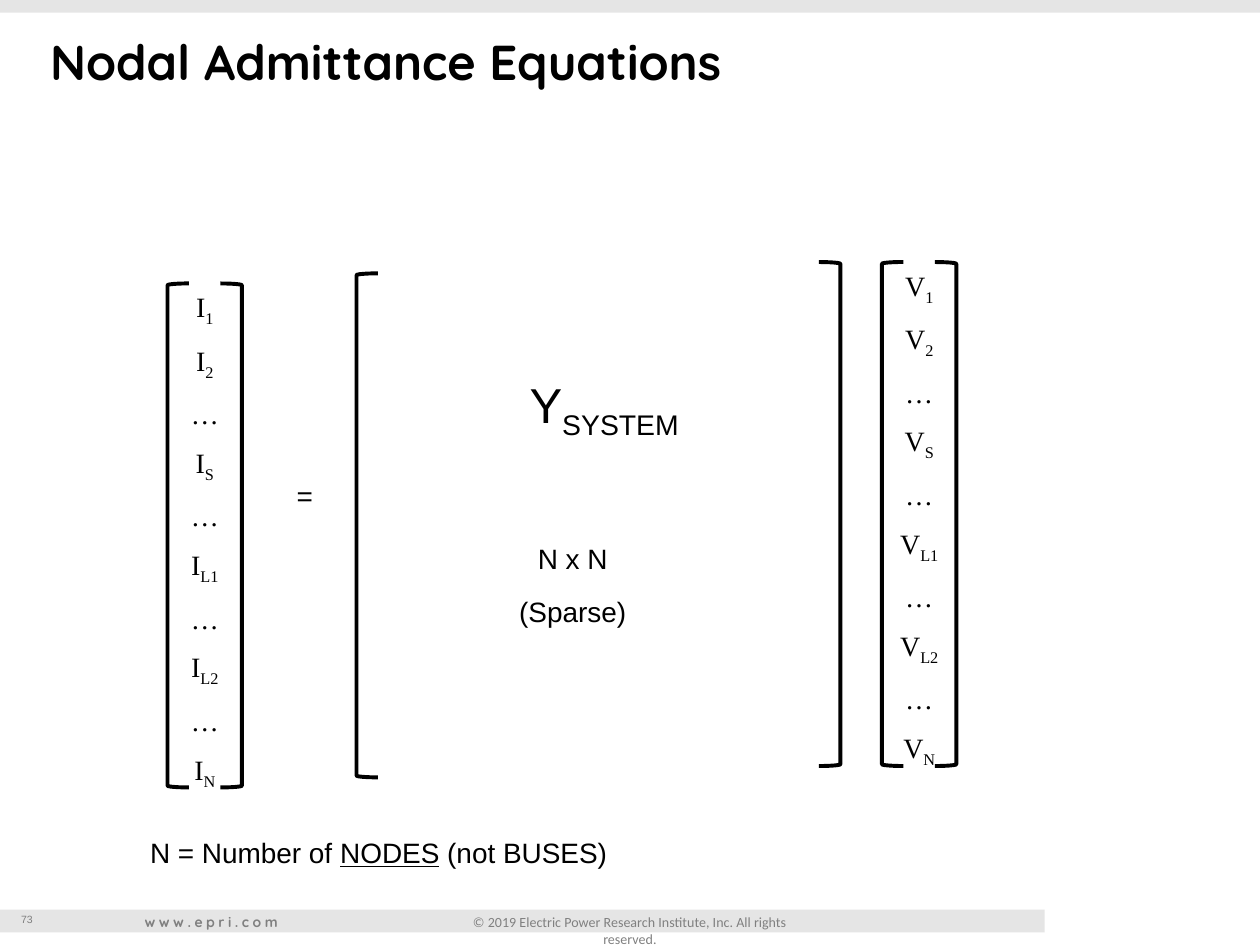
from pptx import Presentation
from pptx.dml.color import RGBColor
from pptx.enum.shapes import MSO_SHAPE
from pptx.enum.text import PP_ALIGN
from pptx.util import Inches, Pt

RECTANGLE = MSO_SHAPE.RECTANGLE
LEFT_BRACKET, RIGHT_BRACKET = MSO_SHAPE.LEFT_BRACKET, MSO_SHAPE.RIGHT_BRACKET
LEFT, CENTER = PP_ALIGN.LEFT, PP_ALIGN.CENTER

THEME = {
    "ink": RGBColor(0x00, 0x00, 0x00),
    "muted": RGBColor(0x80, 0x80, 0x80),
    "band": RGBColor(0xE5, 0xE5, 0xE5),
    "heading": "Quicksand",
    "body": "Arial",
    "math": "Times New Roman",
    "footer": "Calibri",
    "large": 28,
    "normal": 16,
    "small": 8,
    "tiny": 6,
    "row_gap": 8.7,
    "bracket_line": 2.25,
}

# Content: a run is (text, style), where style is "", "sub" or "underline"
TITLE = "Nodal Admittance Equations"
NODES = ["1", "2", None, "S", None, "L1", None, "L2", None, "N"]
VECTORS = [("I", 1.25, 2.25), ("V", 6.92, 2.08)]  # symbol, left, top
VECTOR_WIDTH, VECTOR_HEIGHT = 0.75, 4.01
MATRIX_TEXTS = [  # runs, box, size
    ([("=", "")], (2.17, 3.75, 0.5, 0.37), "normal"),
    ([("Y", ""), ("SYSTEM", "sub")], (3.92, 2.92, 1.75, 0.57), "large"),
    ([("N x N", "")], (3.67, 4.25, 1.75, 0.37), "normal"),
    ([("(Sparse)", "")], (3.67, 4.67, 1.75, 0.37), "normal"),
    ([("N = Number of ", ""), ("NODES", "underline"), (" (not BUSES)", "")],
     (0.92, 6.58, 4.17, 0.37), "normal"),
]
MATRIX_BRACKETS = [(LEFT_BRACKET, 2.83, 2.17), (RIGHT_BRACKET, 6.5, 2.08)]
BRACKET_WIDTH, BRACKET_HEIGHT, BRACKET_INSET = 0.17, 4, 0.08
BANDS = [(0, 0, 10, 0.1), (0, 7.22, 8.29, 0.18)]
PAGE_NUMBER = "73"
WEBSITE = "www.epri.com"
COPYRIGHT = "© 2019 Electric Power Research Institute, Inc. All rights reserved."


def add_text(slide, paragraphs, box, font="body", size="normal", color="ink",
             bold=False, align=LEFT, spacing=0):
    """Add a text box; paragraphs is a string or a list of run lists."""
    if isinstance(paragraphs, str):
        paragraphs = [[(paragraphs, "")]]
    frame = slide.shapes.add_textbox(*map(Inches, box)).text_frame
    frame.word_wrap = True
    for index, runs in enumerate(paragraphs):
        paragraph = frame.add_paragraph() if index else frame.paragraphs[0]
        paragraph.alignment = align
        if index:
            paragraph.space_before = Pt(THEME["row_gap"])
        for text, style in runs:
            run = paragraph.add_run()
            run.text = text
            run.font.name = THEME[font]
            run.font.size = Pt(THEME[size])
            run.font.bold = bold
            run.font.color.rgb = THEME[color]
            properties = run.font._element
            if style == "sub":
                properties.set("baseline", "-25000")
            elif style == "underline":
                run.font.underline = True
            if spacing:
                properties.set("spc", str(spacing * 100))


def add_band(slide, box):
    shape = slide.shapes.add_shape(RECTANGLE, *map(Inches, box))
    shape.shadow.inherit = False
    shape.fill.solid()
    shape.fill.fore_color.rgb = THEME["band"]
    shape.line.fill.background()


def add_bracket(slide, kind, left, top):
    box = (left, top, BRACKET_WIDTH, BRACKET_HEIGHT)
    shape = slide.shapes.add_shape(kind, *map(Inches, box))
    shape.shadow.inherit = False
    shape.fill.background()
    shape.line.color.rgb = THEME["ink"]
    shape.line.width = Pt(THEME["bracket_line"])


def add_vector(slide, symbol, left, top):
    rows = [[(symbol, ""), (node, "sub")] if node else [("…", "")] for node in NODES]
    add_text(slide, rows, (left, top, VECTOR_WIDTH, VECTOR_HEIGHT),
             font="math", align=CENTER)
    right = left + VECTOR_WIDTH - BRACKET_WIDTH - BRACKET_INSET
    add_bracket(slide, LEFT_BRACKET, left + BRACKET_INSET, top)
    add_bracket(slide, RIGHT_BRACKET, right, top)


def main():
    presentation = Presentation()
    presentation.slide_width, presentation.slide_height = Inches(10), Inches(7.5)
    slide = presentation.slides.add_slide(presentation.slide_layouts[6])

    # Bands and footer
    for box in BANDS:
        add_band(slide, box)
    add_text(slide, PAGE_NUMBER, (0.07, 7.2, 0.66, 0.2), size="tiny", color="muted")
    add_text(slide, COPYRIGHT, (3.45, 7.2, 3.1, 0.24), font="footer", size="small",
             color="muted", align=CENTER)
    add_text(slide, WEBSITE, (1.05, 7.2, 1.33, 0.24), font="heading", size="small",
             color="muted", bold=True, spacing=2)

    # Title
    add_text(slide, TITLE, (0.3, 0.2, 9.38, 0.8), font="heading", size="large", bold=True)

    # Matrix equation
    for symbol, left, top in VECTORS:
        add_vector(slide, symbol, left, top)
    for runs, box, size in MATRIX_TEXTS:
        add_text(slide, [runs], box, size=size, align=CENTER)
    for kind, left, top in MATRIX_BRACKETS:
        add_bracket(slide, kind, left, top)

    presentation.save("out.pptx")


if __name__ == "__main__":
    main()
